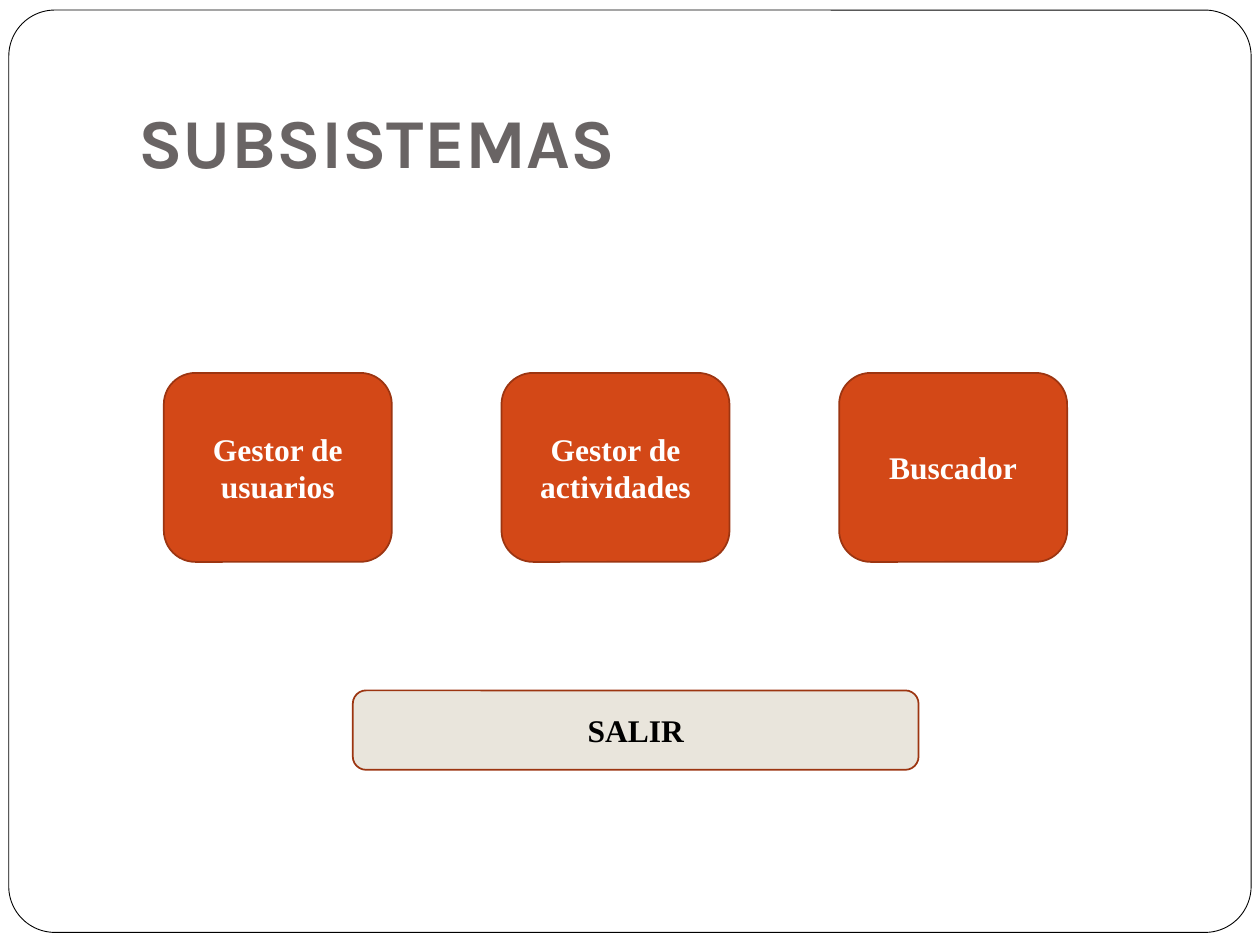
"""Build the subsystem menu slide."""
from pptx import Presentation
from pptx.dml.color import RGBColor
from pptx.enum import shapes, text
from pptx.util import Inches, Pt

TITLE = "SUBSISTEMAS"
SUBSYSTEMS = ["Gestor de usuarios", "Gestor de actividades", "Buscador"]
EXIT = "SALIR"

THEME = {
    "frame": {"fill": "FFFFFF", "line": "000000", "width": 0.5},
    "subsystem": {"fill": "D34817", "line": "9C3511", "width": 1},
    "exit": {"fill": "E9E5DC", "line": "9C3511", "width": 1},
    "title_text": {"name": "Karla", "size": Pt(40), "bold": True, "color": "696464"},
    "subsystem_text": {"name": "Times New Roman", "size": Pt(18), "bold": True, "color": "FFFFFF"},
    "exit_text": {"name": "Times New Roman", "size": Pt(18), "bold": True, "color": "000000"},
}

FRAME_BOX = (0.07, 0.08, 9.86, 7.32)
FRAME_ROUNDING = 0.05
TITLE_BOX = (1, 0.3, 8.5, 1.25)
FIRST_BUTTON = (1.3, 2.96, 1.81, 1.5)
BUTTON_STEP = 2.68
EXIT_BOX = (2.8, 5.48, 4.49, 0.63)


def write(shape, content, style, frame_format, alignment):
    """Put one formatted paragraph in a shape."""
    frame = shape.text_frame
    for name, value in frame_format.items():
        setattr(frame, name, value)
    paragraph = frame.paragraphs[0]
    paragraph.alignment = alignment
    run = paragraph.add_run()
    run.text = content
    for name, value in THEME[style].items():
        if name == "color":
            run.font.color.rgb = RGBColor.from_string(value)
        else:
            setattr(run.font, name, value)


def add_rounded(slide, box, style):
    """Add a rounded rectangle in a theme style."""
    shape = slide.shapes.add_shape(shapes.MSO_SHAPE.ROUNDED_RECTANGLE, *map(Inches, box))
    shape.shadow.inherit = False
    shape.fill.solid()
    shape.fill.fore_color.rgb = RGBColor.from_string(THEME[style]["fill"])
    shape.line.color.rgb = RGBColor.from_string(THEME[style]["line"])
    shape.line.width = Pt(THEME[style]["width"])
    return shape


def add_button(slide, box, label, style):
    """Add a rounded button with a centred label."""
    button = add_rounded(slide, box, style)
    frame_format = {"word_wrap": True, "vertical_anchor": text.MSO_ANCHOR.MIDDLE}
    write(button, label, style + "_text", frame_format, text.PP_ALIGN.CENTER)


def main():
    """Assemble and save the slide."""
    presentation = Presentation()
    presentation.slide_width = Inches(10)
    presentation.slide_height = Inches(7.5)
    slide = presentation.slides.add_slide(presentation.slide_layouts[6])

    frame = add_rounded(slide, FRAME_BOX, "frame")
    frame.adjustments[0] = FRAME_ROUNDING

    title = slide.shapes.add_textbox(*map(Inches, TITLE_BOX))
    title_format = {
        "word_wrap": True,
        "vertical_anchor": text.MSO_ANCHOR.BOTTOM,
        "margin_bottom": Inches(0.1),
    }
    write(title, TITLE, "title_text", title_format, text.PP_ALIGN.LEFT)

    left, top, width, height = FIRST_BUTTON
    for index, label in enumerate(SUBSYSTEMS):
        box = (left + index * BUTTON_STEP, top, width, height)
        add_button(slide, box, label, "subsystem")
    add_button(slide, EXIT_BOX, EXIT, "exit")

    presentation.save("out.pptx")


if __name__ == "__main__":
    main()
